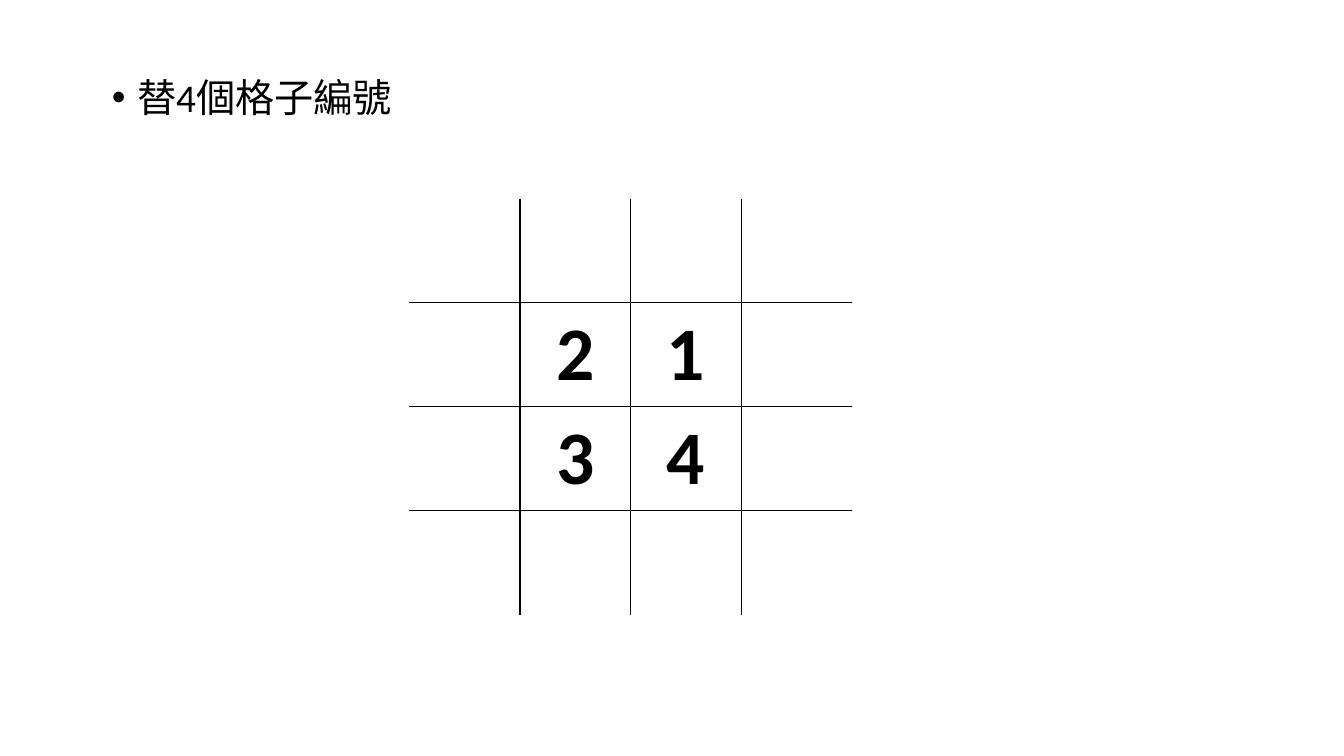
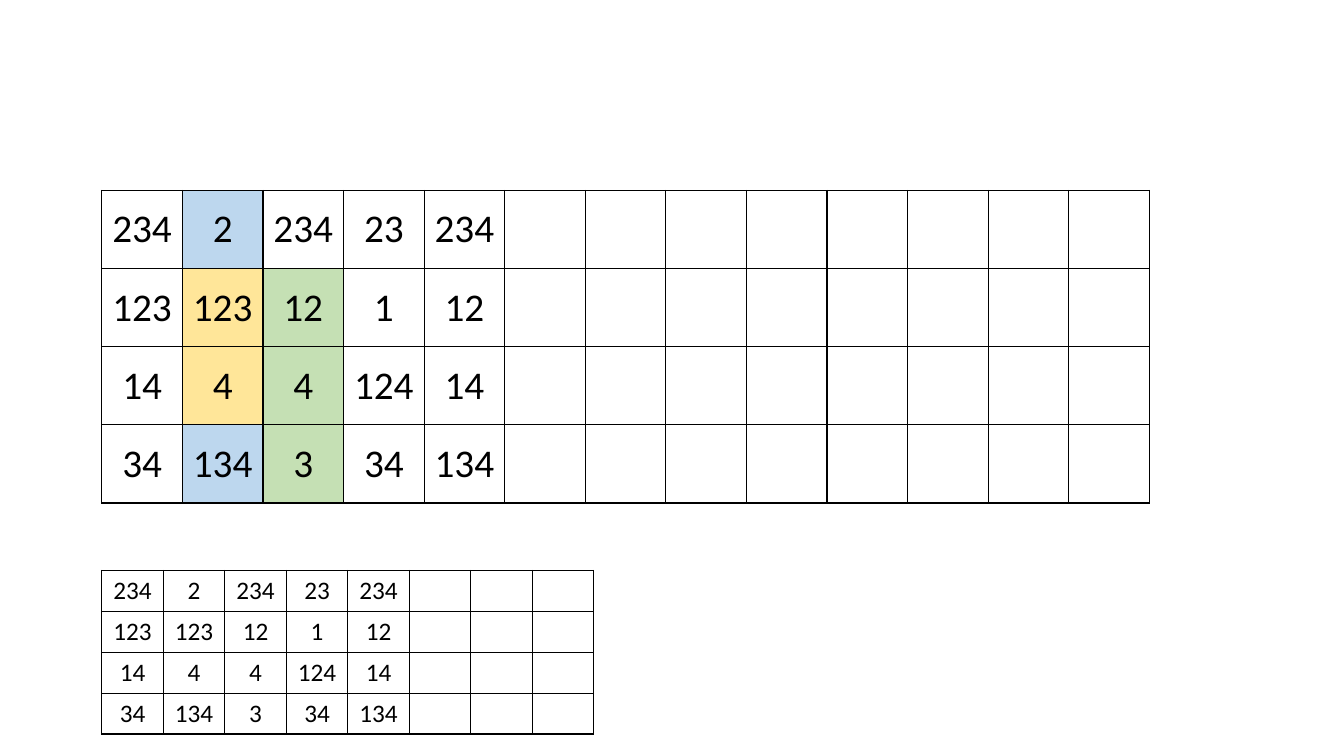
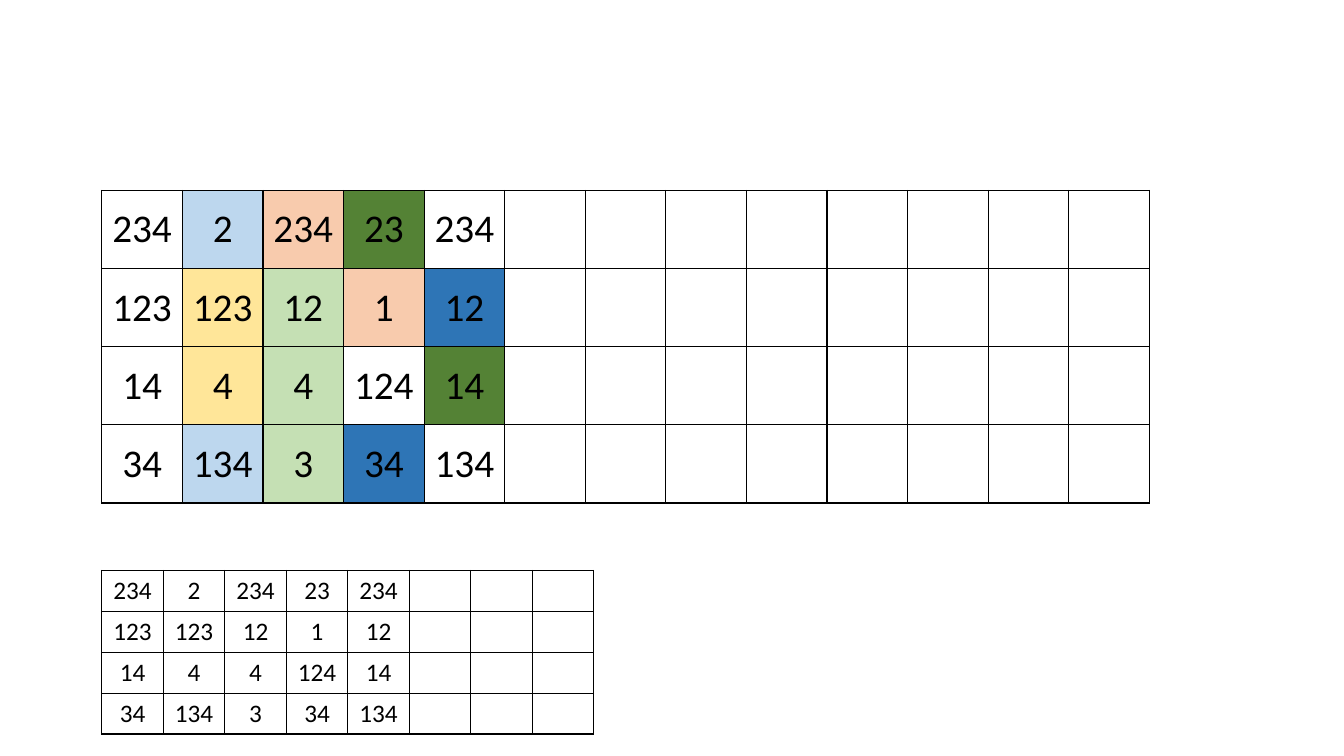
from lxml import etree
from pptx import Presentation
from pptx.dml.color import RGBColor
from pptx.enum.text import MSO_ANCHOR, MSO_AUTO_SIZE, PP_ALIGN
from pptx.oxml.ns import qn
from pptx.util import Inches, Pt

CENTER, LEFT = PP_ALIGN.CENTER, PP_ALIGN.LEFT
MIDDLE, TOP = MSO_ANCHOR.MIDDLE, MSO_ANCHOR.TOP
NO_AUTOFIT = MSO_AUTO_SIZE.NONE

COLORS = {
    "ink": "000000",
    "light blue": "BDD7EE",
    "yellow": "FFE699",
    "light green": "C5E0B4",
    "peach": "F8CBAD",
    "dark green": "548235",
    "dark blue": "2E75B6",
}
FONT = "Calibri"
UNIT = Inches(0.1)  # side of one grid column and one grid row
BODY_LAYOUT, BLANK_LAYOUT = 1, 6

QUADRANTS = [[], ["", "2", "1"], ["", "3", "4"], []]
DIGIT_SETS = [
    ["234", "2", "234", "23", "234"],
    ["123", "123", "12", "1", "12"],
    ["14", "4", "4", "124", "14"],
    ["34", "134", "3", "34", "134"],
]
# Cells are given as (row, column)
FIRST_GROUPS = {
    "light blue": [(0, 1), (3, 1)],
    "yellow": [(1, 1), (2, 1)],
    "light green": [(1, 2), (2, 2), (3, 2)],
}
ALL_GROUPS = {
    **FIRST_GROUPS,
    "peach": [(0, 2), (1, 3)],
    "dark green": [(0, 3), (2, 4)],
    "dark blue": [(1, 4), (3, 3)],
}


class Slides:
    def __init__(self):
        self.deck = Presentation()
        self.deck.slide_width = Inches(13.33)
        self.deck.slide_height = Inches(7.5)
        self.page = None

    def new_page(self, layout):
        self.page = self.deck.slides.add_slide(self.deck.slide_layouts[layout])

    def place(self, left, top, width, height):
        """Turn grid columns and rows into lengths."""
        return [round(UNIT * count) for count in (left, top, width, height)]

    def add_text(self, para, text, size, bold=False):
        span = para.add_run()
        span.text = text
        span.font.name = FONT
        span.font.size = Pt(size)
        span.font.bold = bold
        span.font.color.rgb = RGBColor.from_string(COLORS["ink"])

    def bullet(self, text, area):
        self.page.shapes.title.element.getparent().remove(
            self.page.shapes.title.element)
        box = self.page.placeholders[1]
        box.left, box.top, box.width, box.height = self.place(*area)
        frame = box.text_frame
        frame.word_wrap = True
        frame.auto_size = NO_AUTOFIT
        frame.vertical_anchor = TOP
        para = frame.paragraphs[0]
        props = para._p.get_or_add_pPr()
        props.set("marL", str(Inches(0.25)))
        props.set("indent", str(Inches(-0.25)))
        etree.SubElement(props, qn("a:buFont"), typeface="Arial")
        etree.SubElement(props, qn("a:buChar"), char="•")
        para.alignment = LEFT
        para.line_spacing = 0.9
        para.space_before = Pt(0)
        self.add_text(para, text, 28)

    def border(self, cell, side, drawn):
        line = etree.SubElement(cell._tc.get_or_add_tcPr(),
                                qn("a:ln" + side), w=str(Pt(1)))
        if drawn:
            fill = etree.SubElement(line, qn("a:solidFill"))
            etree.SubElement(fill, qn("a:srgbClr"), val=COLORS["ink"])
        else:
            etree.SubElement(line, qn("a:noFill"))

    def table(self, rows, columns, area, size, bold=False, framed=True,
              groups=None):
        """Add an even table; rows shorter than columns end in empty cells."""
        left, top, width, height = self.place(*area)
        table = self.page.shapes.add_table(
            len(rows), columns, left, top, width, height).table
        table.first_row = table.horz_banding = False
        fills = {spot: color for color, spots in (groups or {}).items()
                 for spot in spots}
        for y, texts in enumerate(rows):
            for x in range(columns):
                cell = table.cell(y, x)
                cell.vertical_anchor = MIDDLE
                inner = {"L": x > 0, "R": x < columns - 1,
                         "T": y > 0, "B": y < len(rows) - 1}
                for side, is_inner in inner.items():
                    self.border(cell, side, framed or is_inner)
                if (y, x) in fills:
                    cell.fill.solid()
                    cell.fill.fore_color.rgb = RGBColor.from_string(
                        COLORS[fills[y, x]])
                else:
                    cell.fill.background()
                if x < len(texts) and texts[x]:
                    para = cell.text_frame.paragraphs[0]
                    para.alignment = CENTER
                    self.add_text(para, texts[x], size, bold)

    def digit_page(self, groups):
        self.new_page(BLANK_LAYOUT)
        self.table(DIGIT_SETS, 13, (10.1, 18.9, 103.9, 31), 28, groups=groups)
        self.table(DIGIT_SETS, 8, (10.1, 56.6, 48.8, 16), 18)


def main():
    slides = Slides()
    slides.new_page(BODY_LAYOUT)
    slides.table(QUADRANTS, 4, (40.6, 19.7, 43.9, 41.3), 54, bold=True,
                 framed=False)
    slides.bullet("替4個格子編號", (10.1, 7.3, 100, 8.3))
    for groups in (FIRST_GROUPS, ALL_GROUPS):
        slides.digit_page(groups)
    slides.deck.save("out.pptx")


if __name__ == "__main__":
    main()
